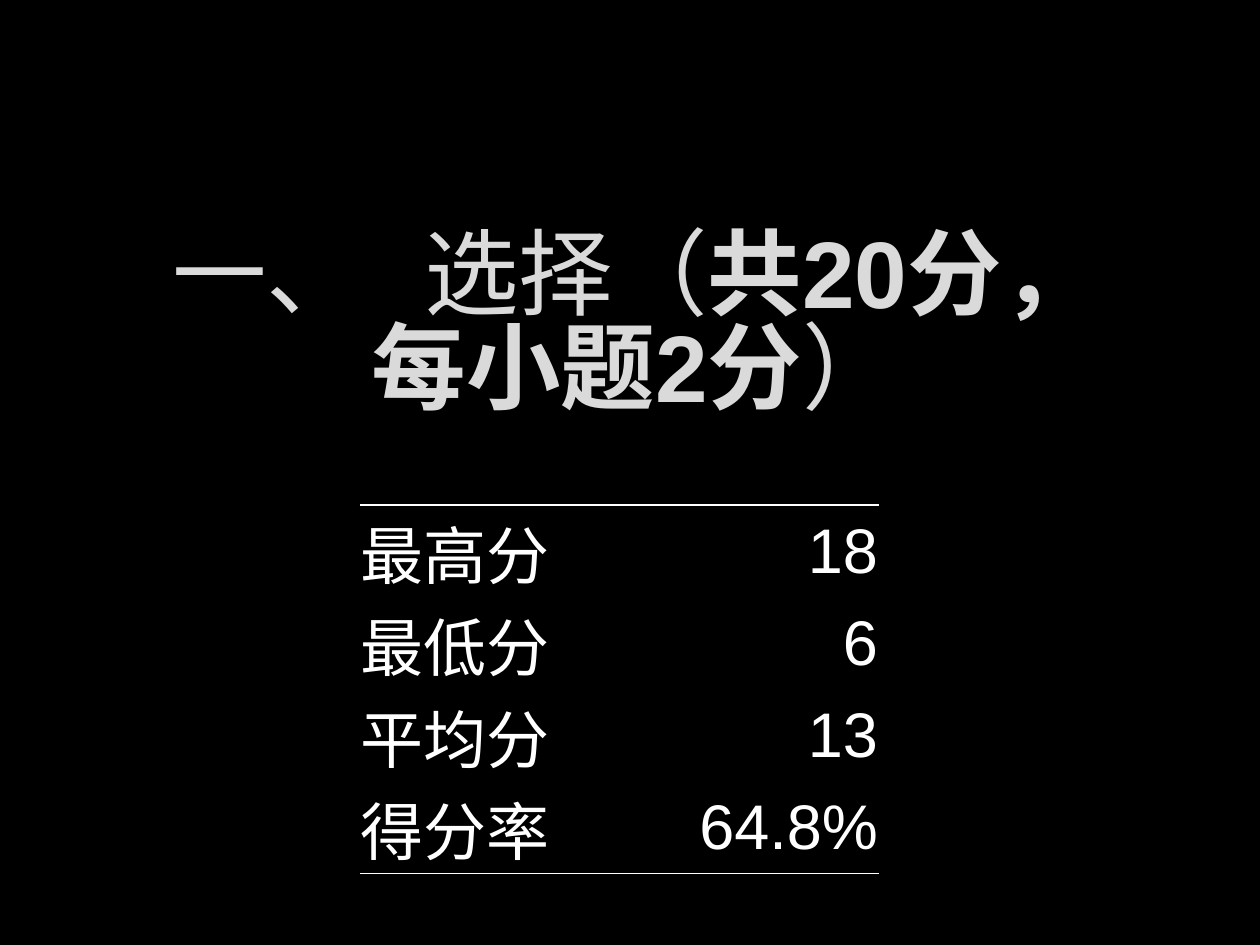
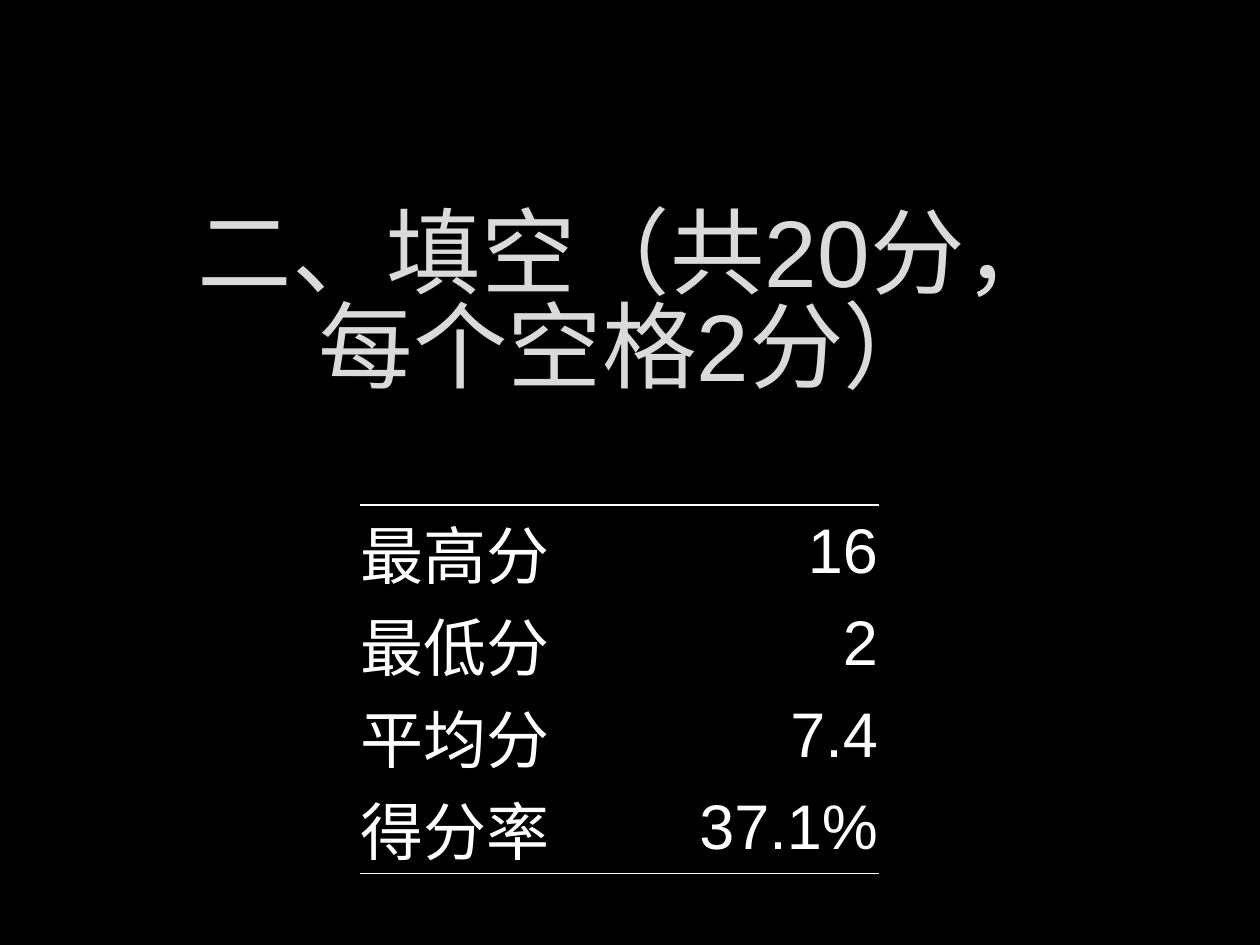
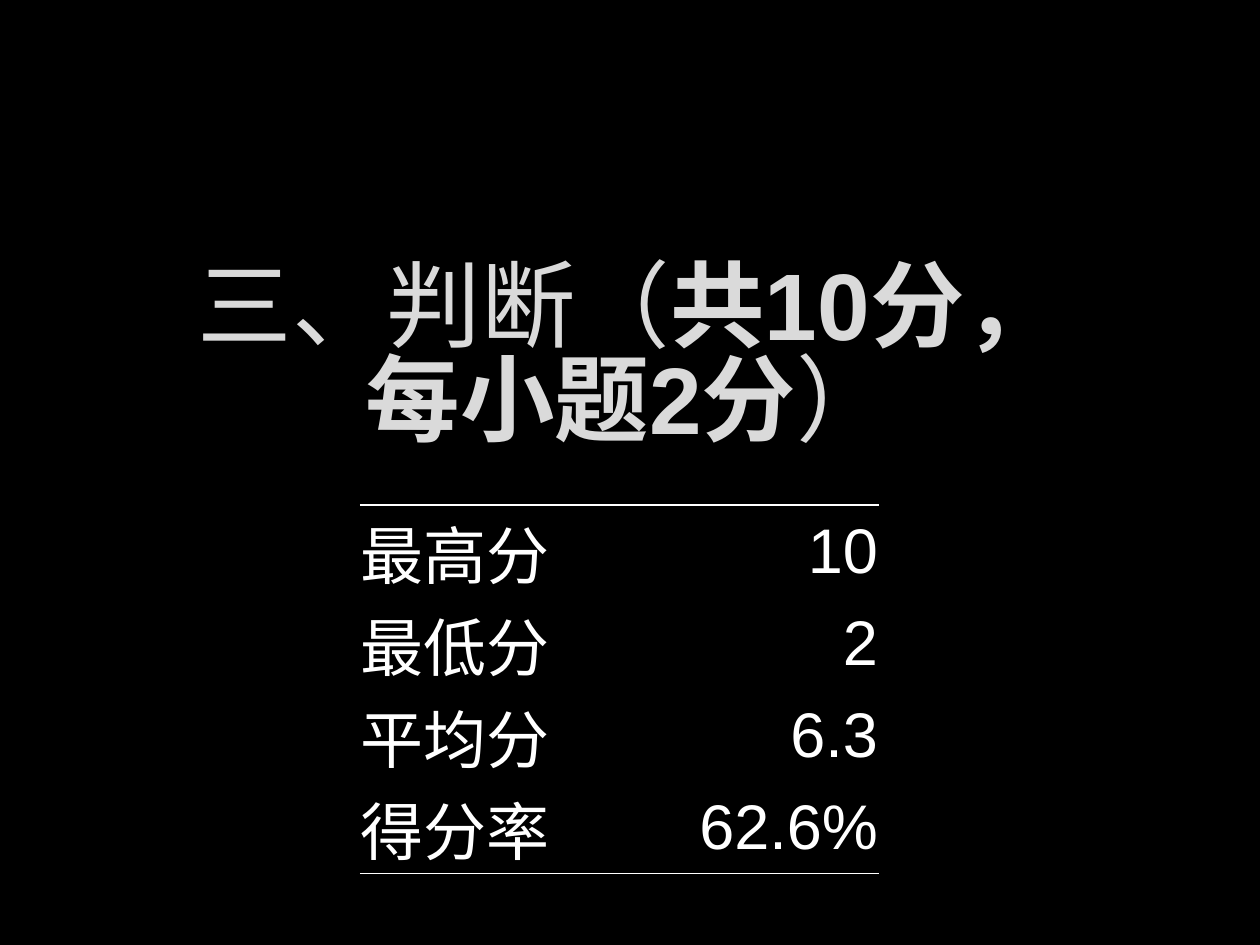
from lxml import etree
from pptx import Presentation
from pptx.dml.color import RGBColor
from pptx.enum.text import MSO_ANCHOR, MSO_AUTO_SIZE, PP_ALIGN
from pptx.oxml import parse_xml
from pptx.oxml.ns import qn
from pptx.util import Pt

BOTTOM, MIDDLE = MSO_ANCHOR.BOTTOM, MSO_ANCHOR.MIDDLE
LEFT, CENTER, RIGHT = PP_ALIGN.LEFT, PP_ALIGN.CENTER, PP_ALIGN.RIGHT
NO_AUTOFIT = MSO_AUTO_SIZE.NONE

EMU_PER_PX = 914400 / 126
DRAWING = "http://schemas.openxmlformats.org/drawingml/2006/main"
PLAIN_TABLE = "{2D5ABB26-0587-4C30-8999-92F81FD0307C}"
BLACK, WHITE, TITLE_GREY, OUTLINE_GREY = "000000", "FFFFFF", "DADADA", "404040"

LABELS = ["最高分", "最低分", "平均分", "得分率"]
COLUMN_WIDTHS = [223, 296]
ROW_HEIGHT = 92
TITLE_FORMAT = {"size": Pt(54), "name": "Arial"}
CELL_FORMAT = {"size": Pt(36), "name": "Arial", "bold": False}

# Each section: title left and top, title runs with bold flag, scores
SECTIONS = [
    (147, 176, [("一、\t选择（", False), ("共20分，每小题2分", True), ("）", False)],
     ["18", "6", "13", "64.8%"]),
    (141, 155, [("二、填空（共20分，每个空格2分）", False)],
     ["16", "2", "7.4", "37.1%"]),
    (141, 208, [("三、判断（", False), ("共10分，每小题2分", True), ("）", False)],
     ["10", "2", "6.3", "62.6%"]),
]


def px(length):
    return round(length * EMU_PER_PX)


def line_xml(tag, color, width, alpha=100):
    return parse_xml(
        f'<a:{tag} xmlns:a="{DRAWING}" w="{Pt(width)}"><a:solidFill>'
        f'<a:srgbClr val="{color}"><a:alpha val="{alpha * 1000}"/></a:srgbClr>'
        f'</a:solidFill><a:prstDash val="solid"/></a:{tag}>')


deck = Presentation()
deck.slide_width, deck.slide_height = px(1260), px(945)

# Shared black background
background = deck.slide_master.background.fill
background.solid()
background.fore_color.rgb = RGBColor.from_string(BLACK)

for title_left, title_top, title_runs, scores in SECTIONS:
    page = deck.slides.add_slide(deck.slide_layouts[0])
    subtitle = page.placeholders[1].element
    subtitle.getparent().remove(subtitle)

    # Section title
    title = page.shapes.title
    title.left, title.top = px(title_left), px(title_top)
    title.width, title.height = px(975), px(252)
    frame = title.text_frame
    frame.word_wrap = True
    frame.auto_size = NO_AUTOFIT
    frame.vertical_anchor = BOTTOM
    para = frame.paragraphs[0]
    para.alignment = CENTER
    para.line_spacing = 0.83
    for text, bold in title_runs:
        span = para.add_run()
        span.text = text
        for key, value in TITLE_FORMAT.items():
            setattr(span.font, key, value)
        span.font.bold = bold
        span.font.color.rgb = RGBColor.from_string(TITLE_GREY)
        span.font._element.insert(0, line_xml("ln", OUTLINE_GREY, 0.75, 10))

    # Score table
    table_frame = page.shapes.add_table(
        len(LABELS), 2, px(360), px(505), px(sum(COLUMN_WIDTHS)), px(ROW_HEIGHT * len(LABELS)))
    table = table_frame.table
    table.first_row = table.horz_banding = False
    style = next(table_frame.element.iter(qn("a:tableStyleId")))
    style.text = PLAIN_TABLE
    for column, width in zip(table.columns, COLUMN_WIDTHS):
        column.width = px(width)
    for row, texts in enumerate(zip(LABELS, scores)):
        for column, (text, alignment) in enumerate(zip(texts, (LEFT, RIGHT))):
            cell = table.cell(row, column)
            cell.fill.background()
            cell.vertical_anchor = MIDDLE
            cell.margin_left = cell.margin_right = cell.margin_top = px(1)
            cell.margin_bottom = 0
            para = cell.text_frame.paragraphs[0]
            para.alignment = alignment
            span = para.add_run()
            span.text = text
            for key, value in CELL_FORMAT.items():
                setattr(span.font, key, value)
            span.font.color.rgb = RGBColor.from_string(WHITE)

            # Rules above the first row and below the last
            properties = cell._tc.get_or_add_tcPr()
            if row == 0:
                properties.insert(0, line_xml("lnT", WHITE, 1))
            elif row == len(LABELS) - 1:
                properties.insert(0, line_xml("lnB", WHITE, 1))

deck.save("out.pptx")
